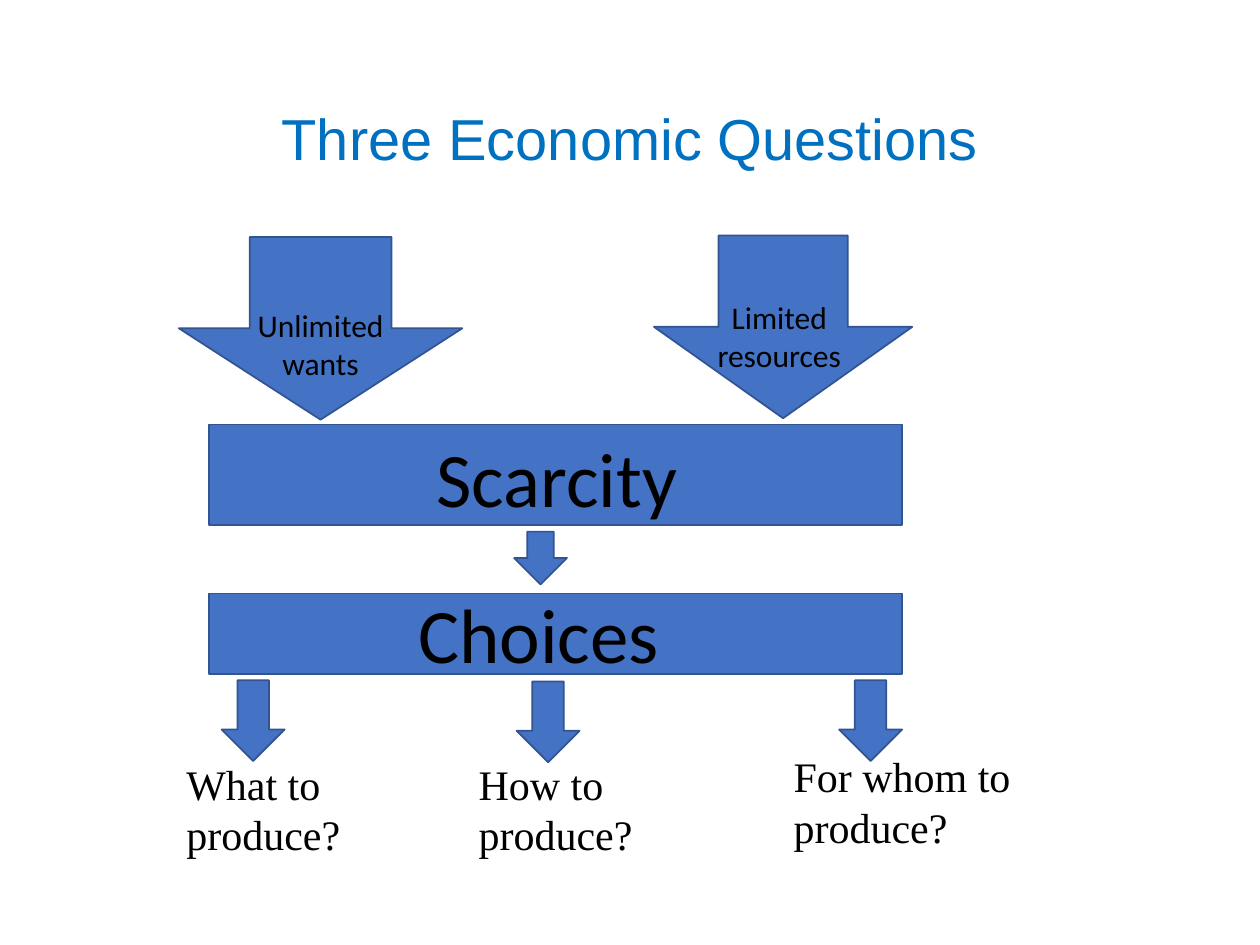
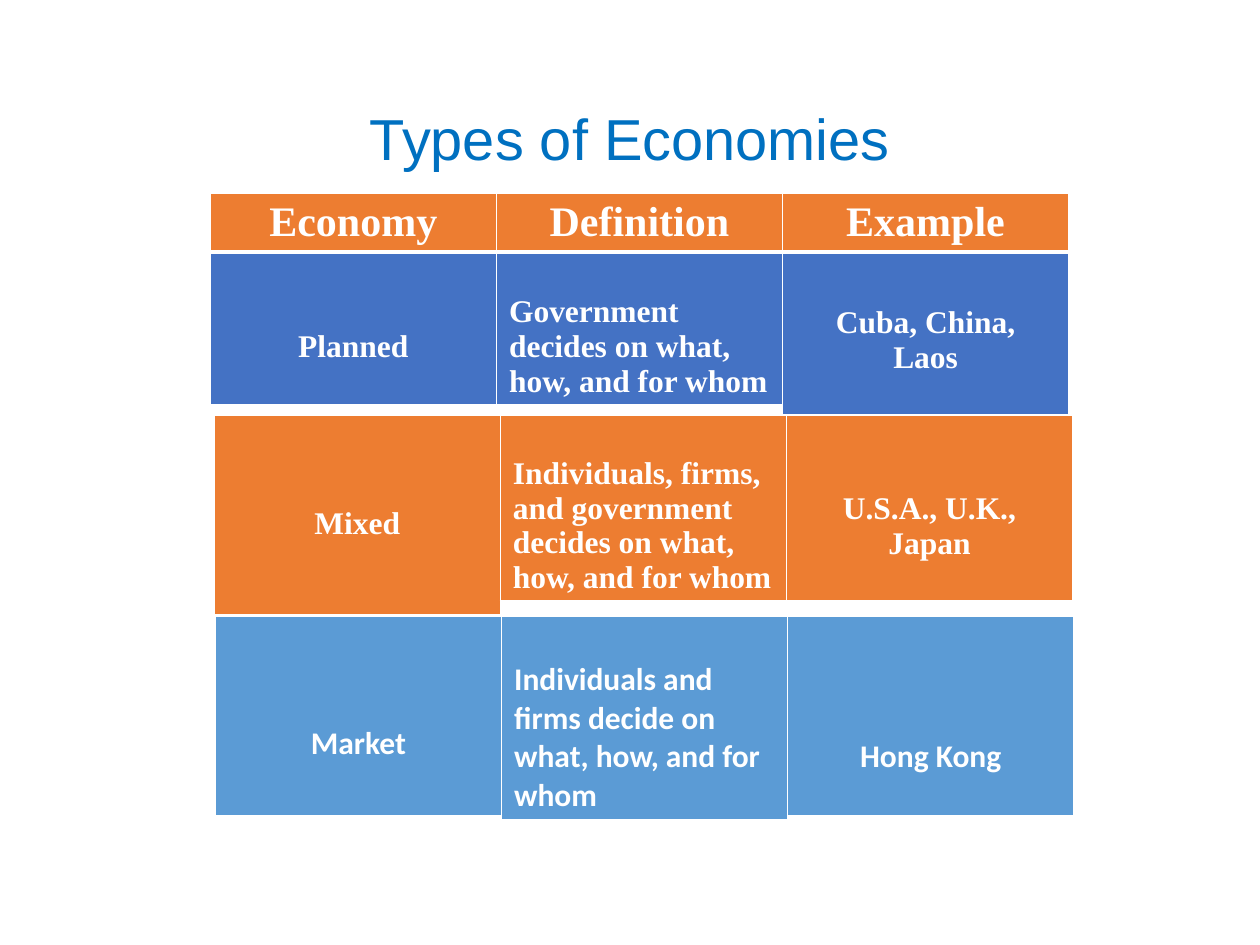
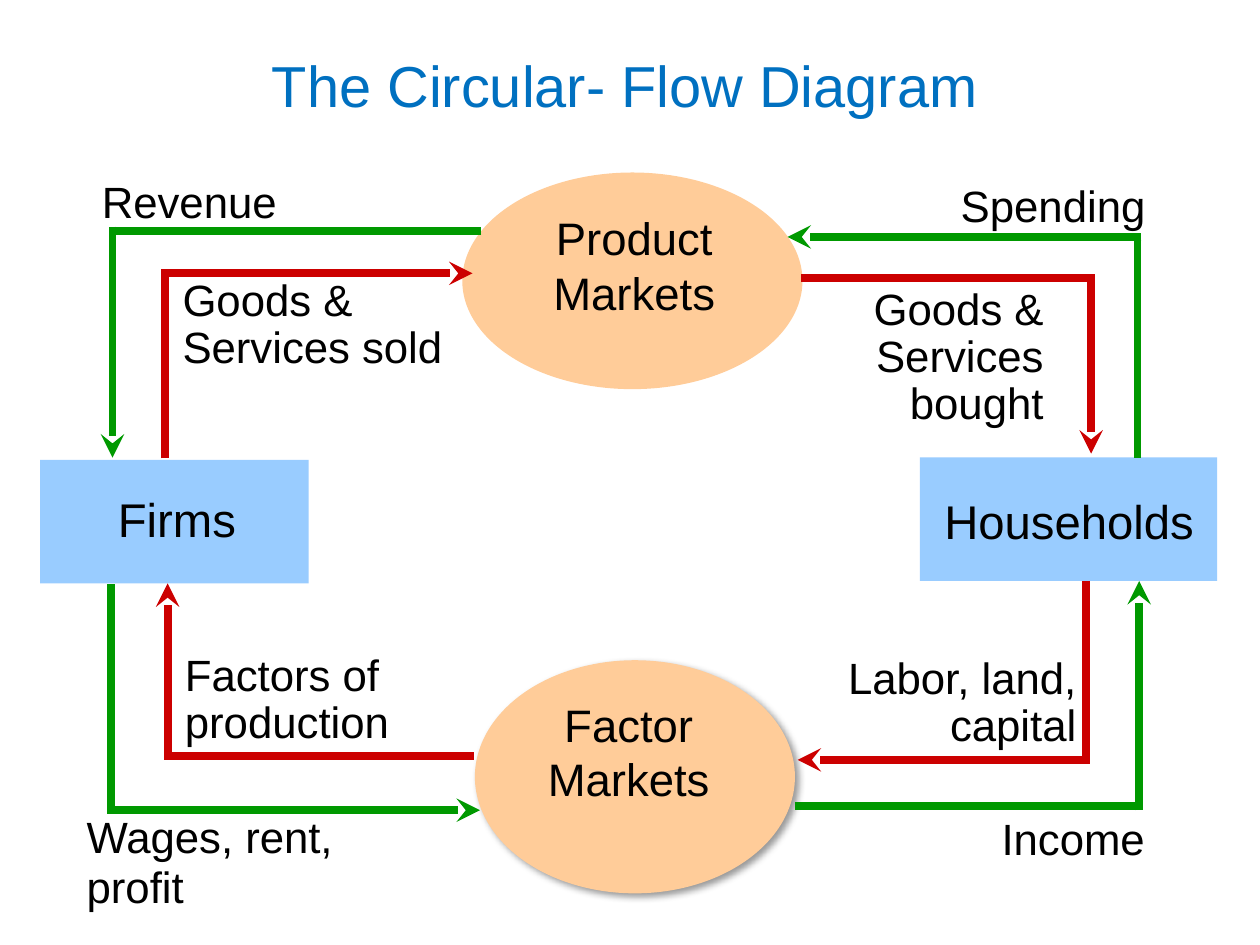
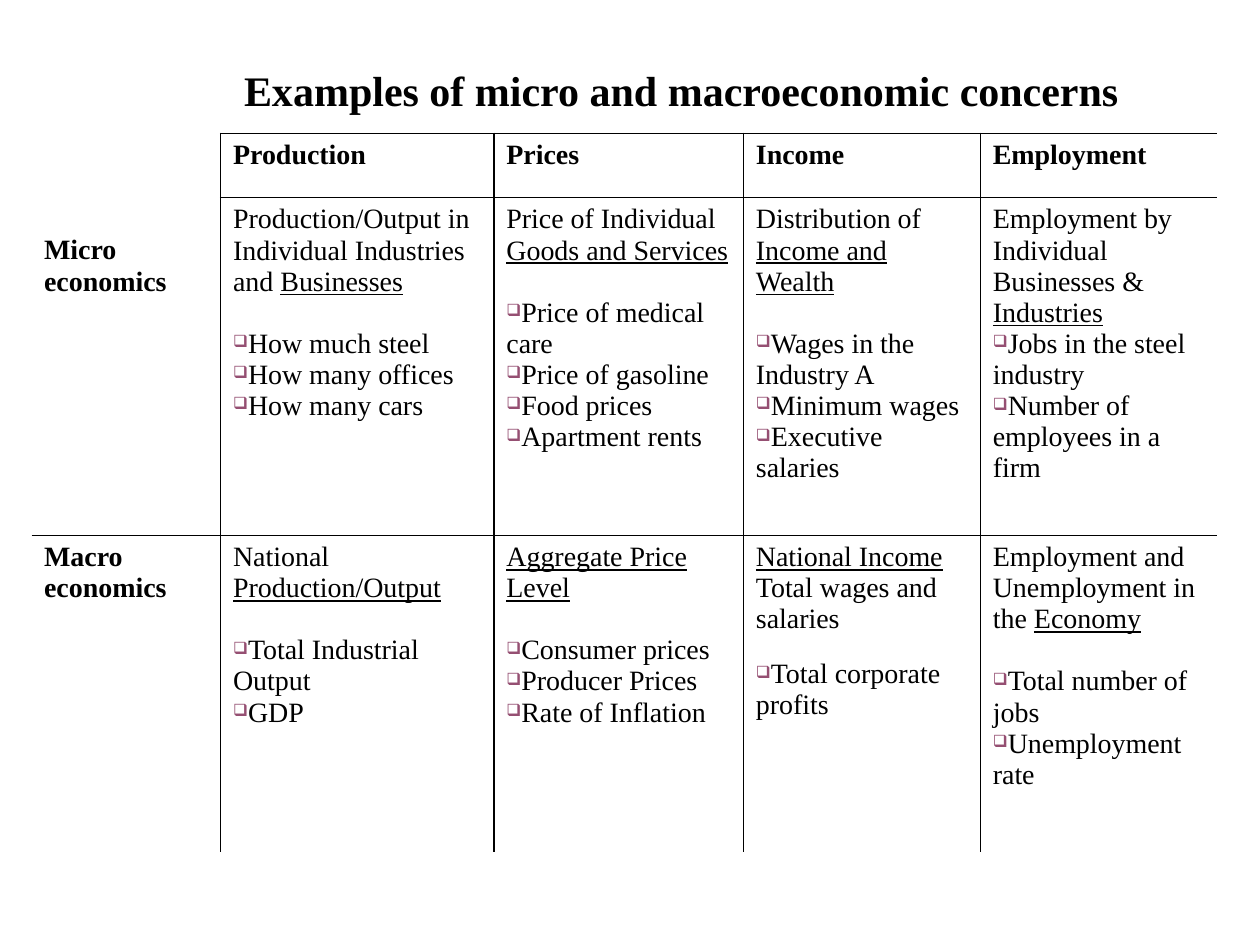
from pptx import Presentation
from pptx.dml.color import RGBColor
from pptx.enum.shapes import MSO_CONNECTOR, MSO_SHAPE
from pptx.enum.text import MSO_ANCHOR, MSO_AUTO_SIZE, PP_ALIGN
from pptx.oxml.ns import qn
from pptx.util import Pt
from lxml import etree

# Shared style
BLACK = RGBColor(0x00, 0x00, 0x00)
WHITE = RGBColor(0xFF, 0xFF, 0xFF)
TITLE_BLUE = RGBColor(0x00, 0x70, 0xC0)
BLUE = RGBColor(0x44, 0x72, 0xC4)
DARK_BLUE = RGBColor(0x32, 0x54, 0x91)
ORANGE = RGBColor(0xED, 0x7D, 0x31)
SKY = RGBColor(0x5B, 0x9B, 0xD5)
PEACH = RGBColor(0xFF, 0xCC, 0x99)
PALE_BLUE = RGBColor(0x99, 0xCC, 0xFF)
GREEN = RGBColor(0x00, 0x99, 0x00)
RED = RGBColor(0xCC, 0x00, 0x00)
PLUM = RGBColor(0x95, 0x4F, 0x72)

SANS, BODY, SERIF = "Arial", "Calibri", "Times New Roman"
LEFT, CENTER, RIGHT = PP_ALIGN.LEFT, PP_ALIGN.CENTER, PP_ALIGN.RIGHT
RECT, OVAL, DOWN = MSO_SHAPE.RECTANGLE, MSO_SHAPE.OVAL, MSO_SHAPE.DOWN_ARROW
STRAIGHT = MSO_CONNECTOR.STRAIGHT
MIDDLE, TOP = MSO_ANCHOR.MIDDLE, MSO_ANCHOR.TOP
NO_FIT = MSO_AUTO_SIZE.NONE
TITLE_ONLY, BLANK = 5, 6
NO_STYLE = "{2D5ABB26-0587-4C30-8999-92F81FD0307C}"
INSET_X, INSET_Y = 7.2, 3.6
FLOW_WIDTH = 4.5
BORDER_TAGS = {"left": "a:lnL", "right": "a:lnR", "top": "a:lnT", "bottom": "a:lnB"}


def child(parent, tag, **attributes):
    return etree.SubElement(parent, qn(tag), attributes)


def color_child(parent, color):
    return child(parent, "a:srgbClr", val=str(color))


class Builder:
    """Holds the deck, its style and the current slide."""

    def __init__(self):
        self.deck = Presentation()
        self.deck.slide_width, self.deck.slide_height = Pt(720), Pt(540)
        self.page = None

    def new_page(self, title=None, at=(49.7, 28.8, 620.6, 104.4)):
        layout = self.deck.slide_layouts[BLANK if title is None else TITLE_ONLY]
        self.page = self.deck.slides.add_slide(layout)
        if title is None:
            return
        box = self.page.shapes.title
        box.left, box.top, box.width, box.height = map(Pt, at)
        frame = box.text_frame
        frame.auto_size, frame.vertical_anchor = NO_FIT, MIDDLE
        para = frame.paragraphs[0]
        para.alignment, para.line_spacing = CENTER, 0.9
        self.span(para, title, 33, SANS, TITLE_BLUE)

    def span(self, para, words, size, font, color=BLACK, bold=False, underline=False):
        span = para.add_run()
        span.text = words
        span.font.size, span.font.name = Pt(size), font
        span.font.bold, span.font.underline = bold, underline
        span.font.color.rgb = color

    def text(self, words, at, size, font, align=LEFT, spacing=None, indent=0):
        frame = self.page.shapes.add_textbox(*map(Pt, at)).text_frame
        frame.word_wrap = True
        frame.margin_left = Pt(INSET_X + indent)
        para = frame.paragraphs[0]
        para.alignment = align
        if spacing:
            para.line_spacing = spacing
        self.span(para, words, size, font)

    def shape(self, kind, at, fill, line=None, shadow=False):
        shape = self.page.shapes.add_shape(kind, *map(Pt, at))
        shape.shadow.inherit = False
        shape.fill.solid()
        shape.fill.fore_color.rgb = fill
        if line is None:
            shape.line.fill.background()
        else:
            shape.line.color.rgb, shape.line.width = line, Pt(1)
        if shadow:
            effects = shape._element.spPr.find(qn("a:effectLst"))
            outer = child(effects, "a:outerShdw", blurRad=str(Pt(4)), dist=str(Pt(3)),
                          dir=str(45 * 60000), rotWithShape="0")
            child(color_child(outer, BLACK), "a:alpha", val="40000")

    def line(self, start, end, color, arrow=False):
        line = self.page.shapes.add_connector(STRAIGHT, *map(Pt, start + end))
        line.line.color.rgb, line.line.width = color, Pt(FLOW_WIDTH)
        if arrow:
            child(line.line._get_or_add_ln(), "a:tailEnd", type="stealth")
        child(line._element.spPr, "a:effectLst")

    def flow(self, color, start, corner, end):
        """A plain line to the corner, then an arrow that also covers the corner."""
        self.line(start, corner, color)
        backed = []
        for here, there in zip(corner, end):
            direction = (there > here) - (there < here)
            backed.append(here - direction * FLOW_WIDTH / 2)
        self.line(tuple(backed), end, color, arrow=True)

    def table(self, left, top, widths, heights):
        frame = self.page.shapes.add_table(len(heights), len(widths), Pt(left), Pt(top),
                                           Pt(sum(widths)), Pt(sum(heights)))
        table = frame.table
        table.first_row = table.horz_banding = False
        table._tbl.tblPr.find(qn("a:tableStyleId")).text = NO_STYLE
        for column, width in zip(table.columns, widths):
            column.width = Pt(width)
        for row, height in zip(table.rows, heights):
            row.height = Pt(height)
        return table

    def cell(self, cell, fill=None, borders=None, gap=0, indent=0):
        """Fills and rules a cell; borders maps a side to (colour, width)."""
        cell.vertical_anchor = TOP
        cell.margin_left, cell.margin_right = Pt(INSET_X + indent), Pt(INSET_X)
        cell.margin_top, cell.margin_bottom = Pt(INSET_Y + gap), Pt(INSET_Y)
        properties = cell._tc.get_or_add_tcPr()
        for side, tag in BORDER_TAGS.items():
            if borders and side in borders:
                color, width = borders[side]
                edge = child(properties, tag, w=str(Pt(width)))
                color_child(child(edge, "a:solidFill"), color)
        if fill is None:
            cell.fill.background()
        else:
            cell.fill.solid()
            cell.fill.fore_color.rgb = fill

    def cell_para(self, cell, first, align=LEFT, gap=0, bullet=False):
        frame = cell.text_frame
        para = frame.paragraphs[0] if first else frame.add_paragraph()
        para.alignment = align
        if gap:
            para.space_before = Pt(gap)
        if bullet:
            properties = para._p.get_or_add_pPr()
            color_child(child(properties, "a:buClr"), PLUM)
            child(properties, "a:buSzPct", val="60000")
            child(properties, "a:buChar", char="❑")
        return para


def economic_questions(build):
    build.new_page("Three Economic Questions")

    # Causes
    causes = [("Unlimited wants", (102.2, 135.4, 162, 104.4), (138.2, 171.4)),
              ("Limited resources", (373.7, 134.6, 147.6, 104.4), (400.3, 167))]
    for words, arrow, corner in causes:
        build.shape(DOWN, arrow, BLUE, DARK_BLUE)
        build.text(words, corner + (90, 51), 18, BODY, CENTER)

    # Bars
    bars = [("Scarcity", 242.6, 57.6, 242.6, 257.8), ("Choices", 339.1, 46.1, 331.9, 236.9)]
    for words, top, height, text_top, text_width in bars:
        build.shape(RECT, (119.5, top, 396, height), BLUE, DARK_BLUE)
        build.text(words, (189.4, text_top, text_width, 60.5), 44, BODY, CENTER)
    build.shape(DOWN, (293.8, 303.8, 30.2, 30.2), BLUE, DARK_BLUE)

    # Questions
    questions = [("What to produce?", (126.7, 388.8), (99.4, 429.8), 117.4),
                 ("How to produce?", (295.2, 389.5), (266.4, 429.8), 110.9),
                 ("For whom to produce?", (479.5, 388.8), (446.4, 425.5), 139)]
    for words, arrow, corner, width in questions:
        build.shape(DOWN, arrow + (36, 46.1), BLUE, DARK_BLUE)
        build.text(words, corner + (width, 65.5), 24, SERIF)


def economy_types(build):
    build.new_page("Types of Economies")
    width = 163.5
    borders = {side: (WHITE, 1) for side in ("left", "top", "right")}
    borders["bottom"] = (WHITE, 3)

    # Header
    header = build.table(120.2, 110.2, [width] * 3, [30])
    for column, words in enumerate(("Economy", "Definition", "Example")):
        cell = header.cell(0, column)
        build.cell(cell, ORANGE, borders)
        build.span(build.cell_para(cell, True, CENTER), words, 24, SERIF, WHITE, bold=True)

    # One block per cell: lines, height, gap above the text
    rows = [
        (120.2, 144.5, BLUE, SERIF, [
            (["Planned"], 87.5, 40),
            (["Government decides on what, how, and for whom"], 87.5, 20),
            (["Cuba, China,", "Laos"], 93.5, 26.5)]),
        (122.4, 237, ORANGE, SERIF, [
            (["Mixed"], 115, 49),
            (["Individuals, firms, and government decides on what, how, and for whom"], 107, 20),
            (["U.S.A., U.K.,", "Japan"], 107, 40)]),
        (123.1, 352, SKY, BODY, [
            (["Market"], 115, 58.5),
            (["Individuals and firms decide on what, how, and for whom"], 115, 22),
            (["Hong Kong"], 115, 66)]),
    ]
    for left, top, fill, font, blocks in rows:
        for column, (lines, height, gap) in enumerate(blocks):
            block = build.table(left + column * width, top, [width], [height])
            cell = block.cell(0, 0)
            build.cell(cell, fill, borders, gap)
            for index, words in enumerate(lines):
                para = build.cell_para(cell, index == 0, LEFT if column == 1 else CENTER)
                build.span(para, words, 18, font, WHITE, bold=True)


def circular_flow(build):
    build.new_page("The Circular- Flow Diagram", (33.1, 12.2, 648, 77))

    # Markets and actors
    nodes = [
        (OVAL, (264.2, 98.6, 194.4, 123.8), PEACH, False,
         "Product Markets", (271.4, 116.6, 182.2, 70.6), 26),
        (RECT, (525.6, 261.4, 169.9, 70.6), PALE_BLUE, False,
         "Households", (529.2, 277.9, 163.4, 39.6), 27),
        (RECT, (23, 262.8, 153.4, 70.6), PALE_BLUE, False,
         "Firms", (37.4, 276.5, 127.4, 39.6), 27),
        (OVAL, (271.4, 377.3, 182.9, 133.2), PEACH, True,
         "Factor Markets", (268.6, 394.6, 181.4, 70.6), 26),
    ]
    for kind, at, fill, shadow, words, text_at, size in nodes:
        build.shape(kind, at, fill, shadow=shadow)
        build.text(words, text_at, size, SANS, CENTER)

    # Flows: colour, start, corner, end
    flows = [
        (GREEN, (650, 261.5), (650, 135.4), (450, 135.4)),
        (GREEN, (275, 131.8), (64.3, 131.8), (64.3, 261.5)),
        (GREEN, (63.4, 334), (63.4, 463), (274.3, 463)),
        (GREEN, (454.3, 460.8), (651, 460.8), (651, 332)),
        (RED, (94.3, 262), (94.3, 156.2), (270, 156.2)),
        (RED, (458, 159), (623.5, 159), (623.5, 259.2)),
        (RED, (270.7, 432), (95.8, 432), (95.8, 333.4)),
        (RED, (620.6, 332), (620.6, 434.2), (455.8, 434.2)),
    ]
    for color, start, corner, end in flows:
        build.flow(color, start, corner, end)

    # Flow labels: words, place, alignment, line spacing, indent
    labels = [
        ("Spending", (472.3, 98.6, 227.5, 37.4), LEFT, None, 69.5),
        ("Revenue", (51.1, 96.5, 227.5, 37.4), LEFT, None, 0),
        ("Wages, rent, profit", (42.5, 461.5, 175.7, 64.1), LEFT, 0.95, 0),
        ("Income", (481.7, 460.1, 200.9, 37.4), LEFT, None, 83.4),
        ("Goods & Services sold", (97.2, 155.5, 166.3, 61.9), LEFT, 0.9, 0),
        ("Goods & Services bought", (420.5, 160.6, 182.9, 89.3), RIGHT, 0.9, 0),
        ("Factors of production", (98.6, 370.1, 157.7, 61.2), LEFT, 0.9, 0),
        ("Labor, land, capital", (464.4, 371.5, 157.7, 61.2), RIGHT, 0.9, 0),
    ]
    for words, at, align, spacing, indent in labels:
        build.text(words, at, 25, SANS, align, spacing, indent)


def concerns(build):
    build.new_page()
    table = build.table(18, 36, [108, 156.2, 142.6, 135.4, 135.4], [40.3, 36.7, 193, 180.7])
    rule = (BLACK, 1)

    # Title row
    heading = table.cell(0, 0)
    heading.merge(table.cell(0, 4))
    build.cell(heading, indent=65)
    build.span(build.cell_para(heading, True, CENTER),
               "Examples of micro and macroeconomic concerns", 24, SERIF, bold=True)

    # Rules and insets
    for row in range(1, 4):
        for column in range(5):
            borders = {}
            if column > 0:
                borders["left"] = rule
            if column < 4:
                borders["right"] = rule
            if column > 0 or row == 3:
                borders["top"] = rule
            if row == 2 or (row == 1 and column > 0):
                borders["bottom"] = rule
            gap = 17.7 if (row, column) == (2, 0) else 0
            build.cell(table.cell(row, column), borders=borders, gap=gap)

    # Headings
    for column, words in enumerate(("Production", "Prices", "Income", "Employment"), 1):
        build.span(build.cell_para(table.cell(1, column), True), words, 16, SERIF, bold=True)
    for row, lines in ((2, ("Micro", "economics")), (3, ("Macro", "economics"))):
        for index, words in enumerate(lines):
            para = build.cell_para(table.cell(row, 0), index == 0)
            build.span(para, words, 16, SERIF, bold=True)

    # Concerns: plain words, underlined words, next line, gap, bullets
    line = 17.7
    micro = [
        ("Production/Output in Individual Industries and ", "Businesses", "", line,
         ["How much steel", "How many offices", "How many cars"]),
        ("Price of Individual ", "Goods and Services", "", line,
         ["Price of medical care", "Price of gasoline", "Food prices", "Apartment rents"]),
        ("Distribution of ", "Income and Wealth", "", line,
         ["Wages in the Industry A", "Minimum wages", "Executive salaries"]),
        ("Employment by Individual Businesses & ", "Industries", "", 0,
         ["Jobs in the steel industry", "Number of employees in a firm"]),
    ]
    macro = [
        ("National ", "Production/Output", "", line, ["Total Industrial Output", "GDP"]),
        ("", "Aggregate Price Level", "", line,
         ["Consumer prices", "Producer Prices", "Rate of Inflation"]),
        ("", "National Income", "Total wages and salaries", 13.5,
         ["Total corporate profits"]),
        ("Employment and Unemployment in the ", "Economy", "", line,
         ["Total number of jobs", "Unemployment rate"]),
    ]
    for row, topics in ((2, micro), (3, macro)):
        for column, (plain, underlined, next_line, gap, bullets) in enumerate(topics, 1):
            cell = table.cell(row, column)
            para = build.cell_para(cell, True)
            if plain:
                build.span(para, plain, 16, SERIF)
            build.span(para, underlined, 16, SERIF, underline=True)
            if next_line:
                build.span(build.cell_para(cell, False), next_line, 16, SERIF)
            for index, words in enumerate(bullets):
                para = build.cell_para(cell, False, gap=0 if index else gap, bullet=True)
                build.span(para, words, 16, SERIF)


def main():
    build = Builder()
    economic_questions(build)
    economy_types(build)
    circular_flow(build)
    concerns(build)
    build.deck.save("out.pptx")


if __name__ == "__main__":
    main()
